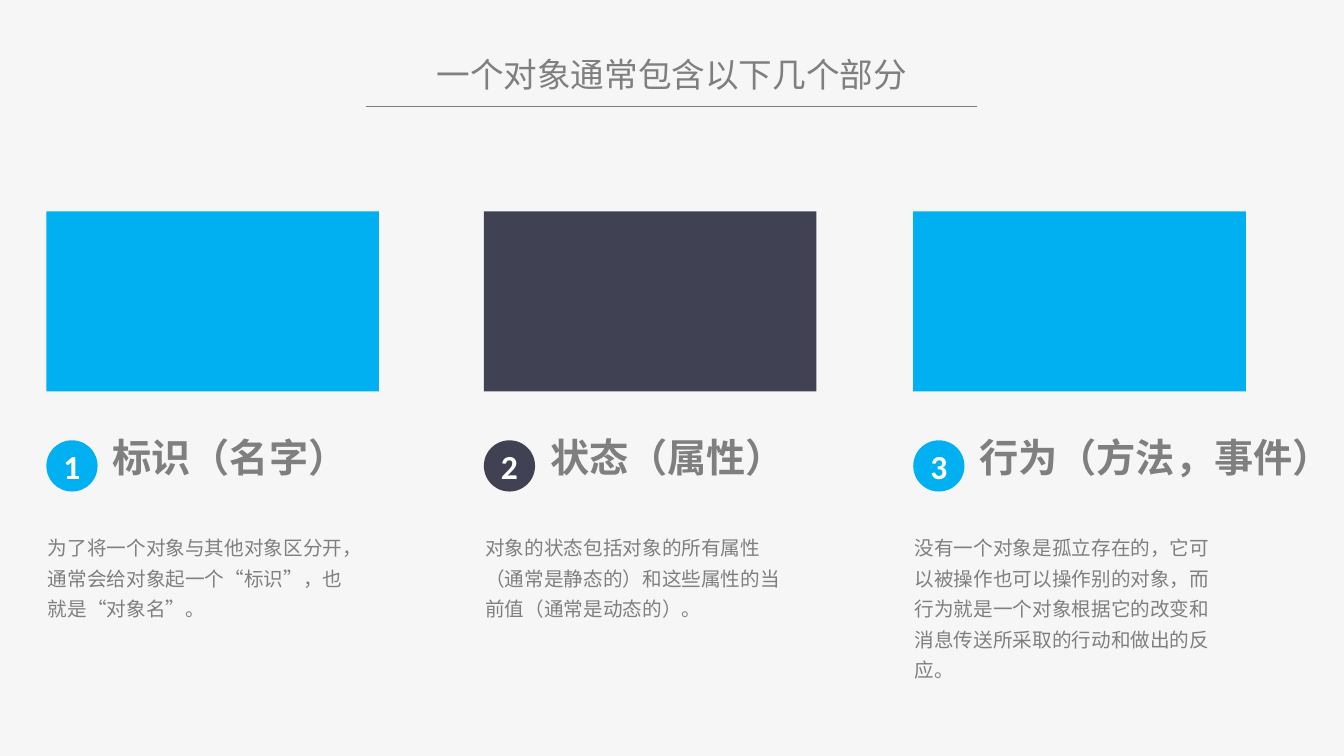
from lxml.etree import SubElement
from pptx import Presentation
from pptx.dml.color import RGBColor
from pptx.enum.shapes import MSO_CONNECTOR, MSO_SHAPE
from pptx.enum.text import MSO_ANCHOR, MSO_AUTO_SIZE, PP_ALIGN
from pptx.oxml.ns import qn
from pptx.util import Pt

COLORS = {"back": "F6F6F6", "gray": "7F7F7F", "blue": "01B0F1",
          "dark": "404153", "white": "FFFFFF"}
INSET = 7.2
HEAD = 28

# left edge, color, heading, text, text height
PARTS = [
    (33.1, "blue", "标识（名字）",
     "为了将一个对象与其他对象区分开，通常会给对象起一个“标识”，也就是“对象名”。", 72.7),
    (345.6, "dark", "状态（属性）",
     "对象的状态包括对象的所有属性（通常是静态的）和这些属性的当前值（通常是动态的）。", 72.7),
    (652.3, "blue", "行为（方法，事件）",
     "没有一个对象是孤立存在的，它可以被操作也可以操作别的对象，"
     "而行为就是一个对象根据它的改变和消息传送所采取的行动和做出的反应。", 116),
]


def color(name):
    return RGBColor.from_string(COLORS[name])


def style(para, size, face, tint, bold=False):
    font = para.font
    font.size = Pt(size)
    font.name = face
    font.bold = bold
    font.color.rgb = color(tint)


def clear_insets(frame):
    frame.margin_left = frame.margin_right = 0
    frame.margin_top = frame.margin_bottom = 0


def add_text(slide, box, text, size, face, bold=False, wrap=True):
    frame = slide.shapes.add_textbox(*map(Pt, box)).text_frame
    frame.word_wrap = wrap
    frame.auto_size = MSO_AUTO_SIZE.SHAPE_TO_FIT_TEXT
    para = frame.paragraphs[0]
    para.text = text
    style(para, size, face, "gray", bold)
    return frame


def add_block(slide, kind, box, tint):
    shape = slide.shapes.add_shape(kind, *map(Pt, box))
    shape.shadow.inherit = False
    shape.fill.solid()
    shape.fill.fore_color.rgb = color(tint)
    shape.line.fill.background()
    return shape


def add_badge(slide, left, num, tint):
    badge = add_block(slide, MSO_SHAPE.OVAL, (left, 314.5, 36.6, 36.6), tint)
    frame = badge.text_frame
    clear_insets(frame)
    frame.word_wrap = False
    frame.vertical_anchor = MSO_ANCHOR.MIDDLE
    para = frame.paragraphs[0]
    para.text = str(num)
    para.alignment = PP_ALIGN.CENTER
    style(para, 24, "Calibri", "white", True)


def add_title(slide, text):
    rule = slide.shapes.add_connector(
        MSO_CONNECTOR.STRAIGHT, Pt(261.4), Pt(76.3), Pt(697.7), Pt(76.3))
    rule.line.color.rgb = color("gray")
    rule.line.width = Pt(1)
    SubElement(rule._element.spPr, qn("a:effectLst"))
    frame = add_text(slide, (280, 38.2, 399.6, 28.8), text, 24,
                     "Noto Sans CJK SC")
    clear_insets(frame)
    frame.paragraphs[0].alignment = PP_ALIGN.CENTER


def add_part(slide, num, left, tint, head, text, height):
    add_block(slide, MSO_SHAPE.RECTANGLE, (left, 151, 237.6, 128.6), tint)
    add_badge(slide, left, num, tint)
    width = HEAD * len(head) + 2 * INSET
    add_text(slide, (left + 40.2, 306, width, 41.2), head, HEAD, "Calibri",
             bold=True, wrap=False)
    frame = add_text(slide, (left - 6, 374.4, 238.3, height), text, 14,
                     "TeX Gyre Adventor")
    frame.paragraphs[0].line_spacing = 1.3


def main():
    deck = Presentation()
    deck.slide_width, deck.slide_height = Pt(960), Pt(540)
    slide = deck.slides.add_slide(deck.slide_layouts[6])
    fill = slide.background.fill
    fill.solid()
    fill.fore_color.rgb = color("back")
    add_title(slide, "一个对象通常包含以下几个部分")
    for num, part in enumerate(PARTS, 1):
        add_part(slide, num, *part)
    deck.save("out.pptx")


if __name__ == "__main__":
    main()
